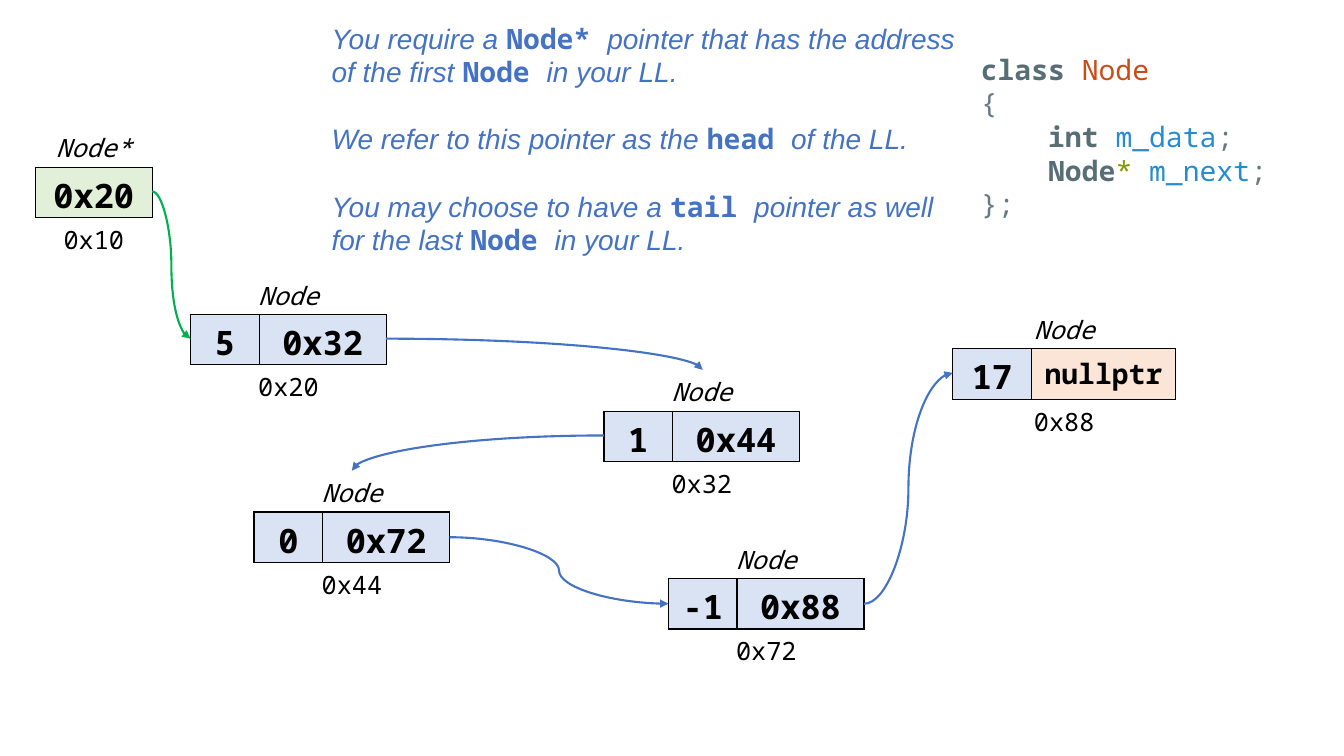
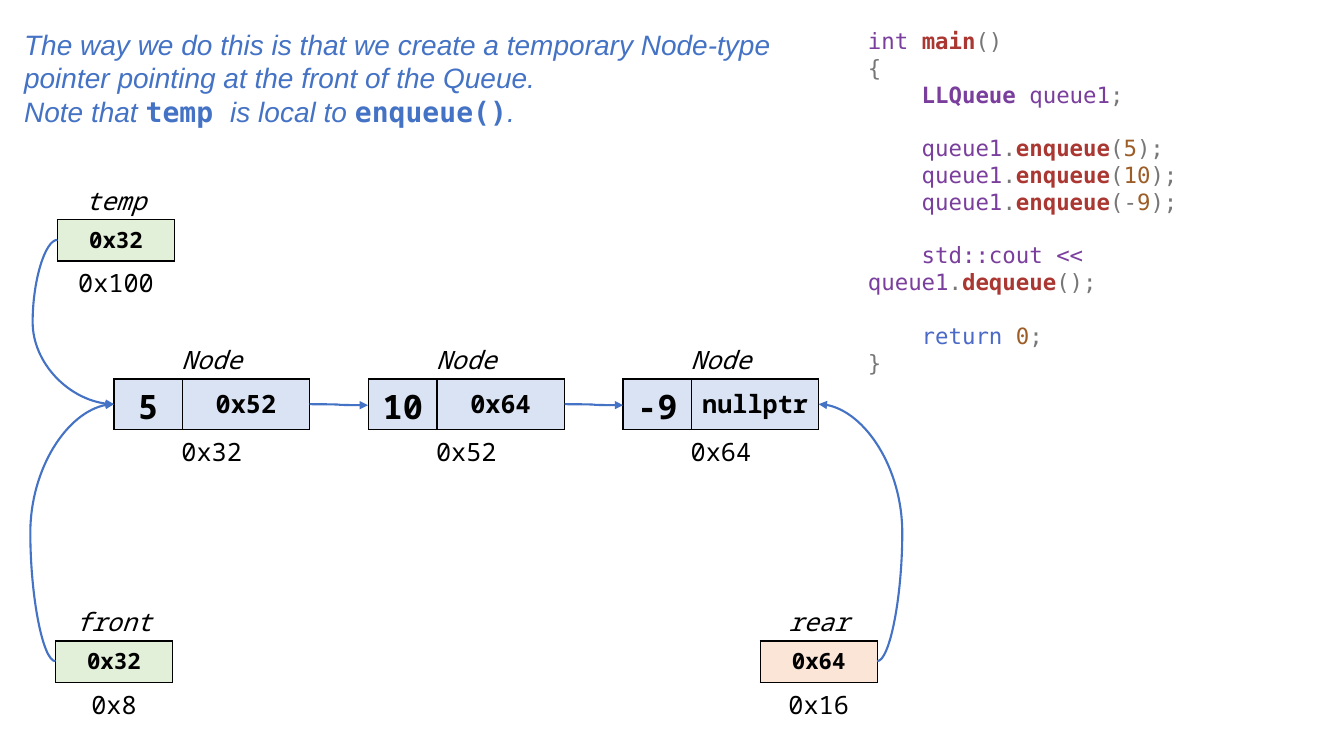
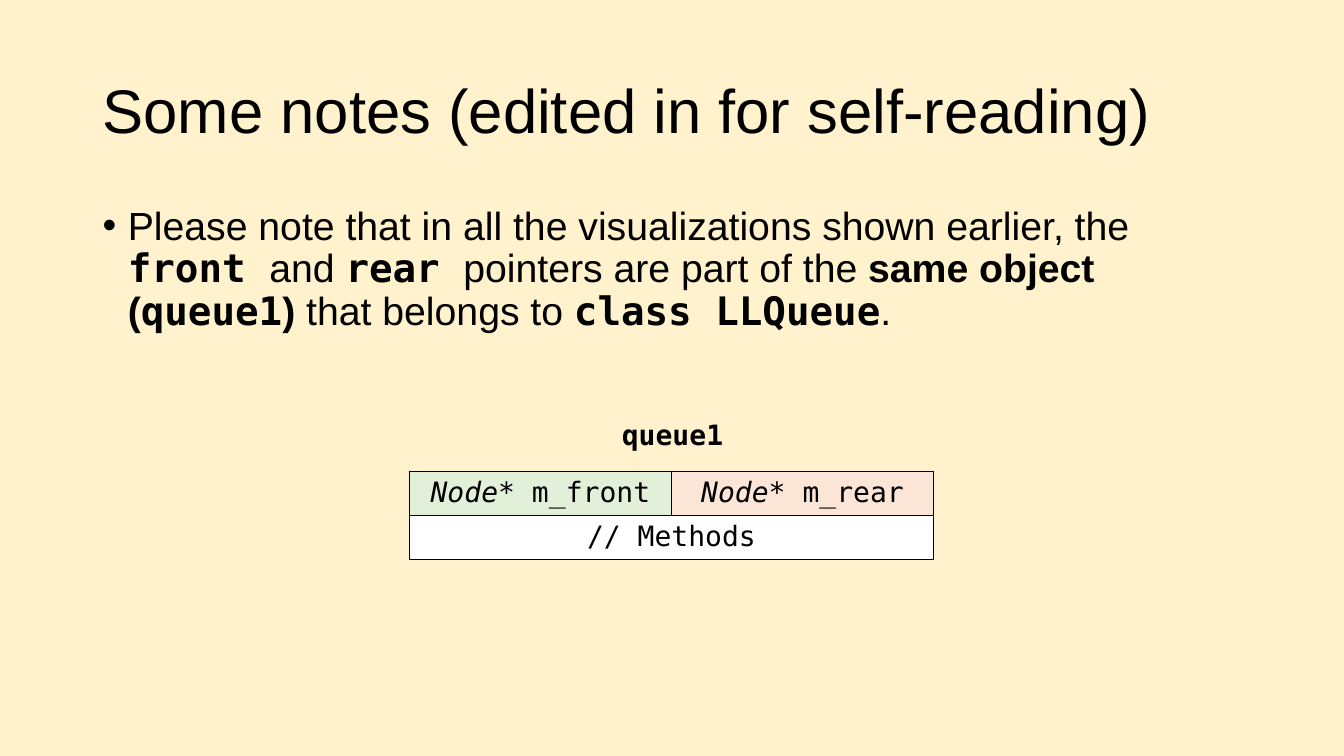
"""Build three slides on linked lists and queues."""
from lxml import etree
from pptx import Presentation
from pptx.dml.color import RGBColor
from pptx.enum import shapes, text
from pptx.oxml import ns
from pptx.util import Inches, Pt

BLACK, WHITE = RGBColor(0, 0, 0), RGBColor(255, 255, 255)
BLUE, GREEN = RGBColor(0x44, 0x72, 0xC4), RGBColor(0, 0xB0, 0x50)
SKY, MINT = RGBColor(0xDA, 0xE3, 0xF3), RGBColor(0xE2, 0xF0, 0xD9)
PEACH, CREAM = RGBColor(0xFB, 0xE5, 0xD6), RGBColor(0xFF, 0xF2, 0xCC)
SLATE, RUST = RGBColor(0x58, 0x6E, 0x75), RGBColor(0xCB, 0x4B, 0x16)
GREY, AZURE = RGBColor(0x65, 0x7B, 0x83), RGBColor(0x26, 0x8B, 0xD2)
OLIVE, PLUM = RGBColor(0x85, 0x99, 0), RGBColor(0x7A, 0x3E, 0x9D)
RED, ASH = RGBColor(0xAA, 0x37, 0x31), RGBColor(0x77, 0x77, 0x77)
BROWN, INDIGO = RGBColor(0x9C, 0x5D, 0x27), RGBColor(0x4B, 0x69, 0xC6)
SANS, NOTO, DEJA = "Arial", "Noto Sans Mono", "DejaVu Sans Mono"
NOGRID = "{2D5ABB26-0587-4C30-8999-92F81FD0307C}"
ROW, TALL = 0.41, 0.5


def style(name, color=BLACK, bold=False, italic=False):
    return {"name": name, "color": color, "bold": bold, "italic": italic}


KEY, TYPE = style(NOTO, SLATE, True), style(NOTO, RUST)
MARK, FIELD, STAR = style(NOTO, GREY), style(NOTO, AZURE), style(NOTO, OLIVE)
VAR, CLASS = style(DEJA, PLUM), style(DEJA, PLUM, True)
FUNC, PUNCT = style(DEJA, RED, True), style(DEJA, ASH)
NUM, WORD = style(DEJA, BROWN), style(DEJA, INDIGO)
NAME, CELL, ADDR = style(NOTO, italic=True), style(NOTO, bold=True), style(NOTO)
PLAIN, STRONG = style(SANS), style(SANS, bold=True)
CODE, BOLD = style(DEJA), style(DEJA, bold=True)
SLANT = style(DEJA, italic=True)
SAY, NOTOSAY = style(SANS, BLUE, italic=True), style(NOTO, BLUE, True)
DEJASAY = style(DEJA, BLUE, True)

HEADS = [
    "You require a |Node* |pointer that has the address of the first |Node |in your LL.",
    "We refer to this pointer as the |head |of the LL.",
    "You may choose to have a |tail |pointer as well for the last |Node |in your LL.",
]
TEMPS = [
    "The way we do this is that we create a temporary Node-type pointer "
    "pointing at the front of the Queue.",
    "Note that |temp |is local to |enqueue()|.",
]
STRUCT = [
    [("class ", KEY), ("Node", TYPE)],
    [("{", MARK)],
    [("    int ", KEY), ("m_data", FIELD), (";", MARK)],
    [("    Node", KEY), ("* ", STAR), ("m_next", FIELD), (";", MARK)],
    [("};", MARK)],
]
MAIN = [
    [("int ", VAR), ("main", FUNC), ("()", PUNCT)],
    [("{", PUNCT)],
    [("    LLQueue ", CLASS), ("queue1", VAR), (";", PUNCT)],
    *[[("    queue1", VAR), (".", PUNCT), ("enqueue", FUNC),
       ("(" + sign, PUNCT), (num, NUM), (");", PUNCT)]
      for sign, num in (("", "5"), ("", "10"), ("-", "9"))],
    [("    std::cout << queue1", VAR), (".", PUNCT), ("dequeue", FUNC), ("();", PUNCT)],
    [("    return ", WORD), ("0", NUM), (";", PUNCT)],
    [("}", PUNCT)],
]
NOTES = [[
    ("Please note that in all the visualizations shown earlier, the ", PLAIN),
    ("front ", BOLD), ("and ", PLAIN), ("rear ", BOLD),
    ("pointers are part of the ", PLAIN), ("same object (", STRONG),
    ("queue1", BOLD), (") ", STRONG), ("that belongs to ", PLAIN),
    ("class LLQueue", BOLD), (".", PLAIN),
]]
LIST = [
    (1.89, 2.71, "5", "0x32", "0x20"),
    (5.99, 3.67, "1", "0x44", "0x32"),
    (2.52, 4.67, "0", "0x72", "0x44"),
    (6.63, 5.33, "-1", "0x88", "0x72"),
]
LINKS = [
    (3.83, 3.36, 6.97, 3.67, None, BLUE),
    (5.99, 4.32, 3.49, 4.67, None, BLUE),
    (4.46, 5.33, 6.63, 5.99, 0.5, BLUE),
    (8.57, 5.99, 9.45, 3.7, 0.5, BLUE),
    (1.51, 1.9, 1.89, 3.36, 0.5, GREEN),
]
QUEUE = [("5", "0x52", "0x32"), ("10", "0x64", "0x52"), ("-9", "nullptr", "0x64")]
ENDS = [
    (0.55, 5.95, "front", "0x32", "0x8", MINT),
    (7.54, 5.95, "rear", "0x64", "0x16", PEACH),
    (0.57, 1.77, "temp", "0x32", "0x100", MINT),
]
JOINS = [
    (0.55, 6.56, 1.13, 4.01, -0.43),
    (8.7, 6.56, 8.12, 4.01, -0.43),
    (0.57, 2.38, 1.13, 4.01, -0.44),
    (3.07, 4.01, 3.65, 4.02, 0.5),
    (5.6, 4.01, 6.18, 4.02, 0.5),
]


def prose(lines, code):
    return [[(part, code if i % 2 else SAY) for i, part in enumerate(line.split("|"))]
            for line in lines]


def write(frame, lines, size, gaps=None, align=None):
    for i, line in enumerate(lines):
        para = frame.paragraphs[0] if i == 0 else frame.add_paragraph()
        para.alignment = align
        if gaps and i in gaps:
            para.space_before = Pt(gaps[i])
        for words, form in line:
            run = para.add_run()
            run.text = words
            run.font.size = Pt(size)
            run.font.color.rgb = form["color"]
            for attr in ("name", "bold", "italic"):
                setattr(run.font, attr, form[attr])


def box(slide, place, lines, size, **opts):
    frame = slide.shapes.add_textbox(*map(Inches, place)).text_frame
    frame.word_wrap = True
    write(frame, lines, size, **opts)
    return frame


def edge(cell, sides):
    props = cell._tc.get_or_add_tcPr()
    for i, side in enumerate(s for s in "LRTB" if s in sides):
        line = etree.Element(ns.qn("a:ln" + side), w="12700")
        fill = etree.SubElement(line, ns.qn("a:solidFill"))
        etree.SubElement(fill, ns.qn("a:srgbClr"), val=str(BLACK))
        props.insert(i, line)


def grid(slide, left, top, cols, rows):
    size = map(Inches, (left, top, sum(cols), sum(rows)))
    table = slide.shapes.add_table(len(rows), len(cols), *size).table
    table.first_row = table.horz_banding = False
    table._tbl.tblPr.find(ns.qn("a:tableStyleId")).text = NOGRID
    for col, width in zip(table.columns, cols):
        col.width = Inches(width)
    for row, height in zip(table.rows, rows):
        row.height = Inches(height)
    return table


def put(cell, runs, size, fill=None, sides="", middle=False):
    cell.margin_left = cell.margin_right = Inches(0.05)
    write(cell.text_frame, [runs], size, align=text.PP_ALIGN.CENTER)
    if middle:
        cell.vertical_anchor = text.MSO_ANCHOR.MIDDLE
    if fill is None:
        cell.fill.background()
    else:
        cell.fill.solid()
        cell.fill.fore_color.rgb = fill
    edge(cell, sides)


def stack(slide, left, top, name, cells, addr, cols, tall):
    """Draw a row of filled cells with a name above and an address below."""
    table = grid(slide, left, top, cols, (ROW, tall, ROW))
    for row, words, form, side in ((0, name, NAME, "B"), (2, addr, ADDR, "T")):
        if len(cols) > 1:
            table.cell(row, 0).merge(table.cell(row, len(cols) - 1))
        put(table.cell(row, 0), [(words, form)], 18, sides=side)
    for col, (words, size, fill) in enumerate(cells):
        put(table.cell(1, col), [(words, CELL)], size, fill, "LRTB", len(cols) > 1)


def node(slide, left, top, data, link, addr, size=24, fill=SKY, cols=(0.68, 1.26)):
    cells = [(data, 24, SKY), (link, size, fill)]
    stack(slide, left, top, "Node", cells, addr, cols, TALL)


def curve(slide, x1, y1, x2, y2, bend, color=BLUE):
    line = slide.shapes.add_connector(
        shapes.MSO_CONNECTOR.CURVE, *map(Inches, (x1, y1, x2, y2)))
    line.line.color.rgb = color
    line.line.width = Pt(1.5)
    etree.SubElement(line.line._get_or_add_ln(), ns.qn("a:tailEnd"), type="triangle")
    props = line._element.spPr
    etree.SubElement(props, ns.qn("a:effectLst"))
    geom = props.find(ns.qn("a:prstGeom"))
    if bend is None:
        geom.set("prst", "curvedConnector2")
    else:
        etree.SubElement(geom.find(ns.qn("a:avLst")), ns.qn("a:gd"),
                         name="adj1", fmla=f"val {round(bend * 100000)}")


def page(deck, color=WHITE):
    slide = deck.slides.add_slide(deck.slide_layouts[6])
    slide.background.fill.solid()
    slide.background.fill.fore_color.rgb = color
    return slide


def nodes(deck):
    slide = page(deck)
    box(slide, (9.63, 0.47, 3.16, 1.78), STRUCT, 20)
    box(slide, (3.19, 0.16, 6.44, 2.46), prose(HEADS, NOTOSAY), 20, gaps={1: 24, 2: 24})
    for item in LIST:
        node(slide, *item)
    node(slide, 9.45, 3.05, "17", "nullptr", "0x88", 20, PEACH, (0.78, 1.43))
    stack(slide, 0.35, 1.25, "Node*", [("0x20", 24, MINT)], "0x10", (1.16,), TALL)
    for link in LINKS:
        curve(slide, *link)


def queue(deck):
    slide = page(deck)
    box(slide, (0.14, 0.22, 7.98, 1.11), prose(TEMPS, DEJASAY), 20)
    box(slide, (8.51, 0.22, 4.69, 3.33), MAIN, 16, gaps={3: 19, 6: 19, 7: 19})
    for i, item in enumerate(QUEUE):
        node(slide, 1.13 + i * 2.525, 3.35, *item, size=18)
    for left, top, name, value, addr, fill in ENDS:
        stack(slide, left, top, name, [(value, 16, fill)], addr, (1.16,), ROW)
    for join in JOINS:
        curve(slide, *join)


def notes(deck):
    slide = page(deck, CREAM)
    title = [[("Some notes (edited in for self-reading)", PLAIN)]]
    head = box(slide, (0.92, 0.4, 11.5, 1.45), title, 44)
    head.vertical_anchor = text.MSO_ANCHOR.MIDDLE
    body = box(slide, (0.92, 2, 11.5, 4.76), NOTES, 28)
    props = body.paragraphs[0]._p.get_or_add_pPr()
    props.set("marL", str(Inches(0.25)))
    props.set("indent", str(Inches(-0.25)))
    etree.SubElement(props, ns.qn("a:buFont"), typeface=SANS)
    etree.SubElement(props, ns.qn("a:buChar"), char="•")
    for frame in (head, body):
        frame.paragraphs[0].line_spacing = 0.9
    table = grid(slide, 4.06, 4.68, (2.6, 2.6), (0.43, 0.43))
    for col, (name, fill) in enumerate((("m_front", MINT), ("m_rear", PEACH))):
        put(table.cell(0, col), [("Node* ", SLANT), (name, CODE)], 20, fill, "LRTB")
    table.cell(1, 0).merge(table.cell(1, 1))
    put(table.cell(1, 0), [("// Methods", CODE)], 20, WHITE, "LRTB")
    edge(table.cell(1, 1), "RTB")
    box(slide, (5.86, 4.09, 1.62, 0.44), [[("queue1", BOLD)]], 20,
        align=text.PP_ALIGN.CENTER)


def main():
    deck = Presentation()
    deck.slide_width, deck.slide_height = Inches(13.33), Inches(7.5)
    for build in (nodes, queue, notes):
        build(deck)
    deck.save("out.pptx")


if __name__ == "__main__":
    main()
